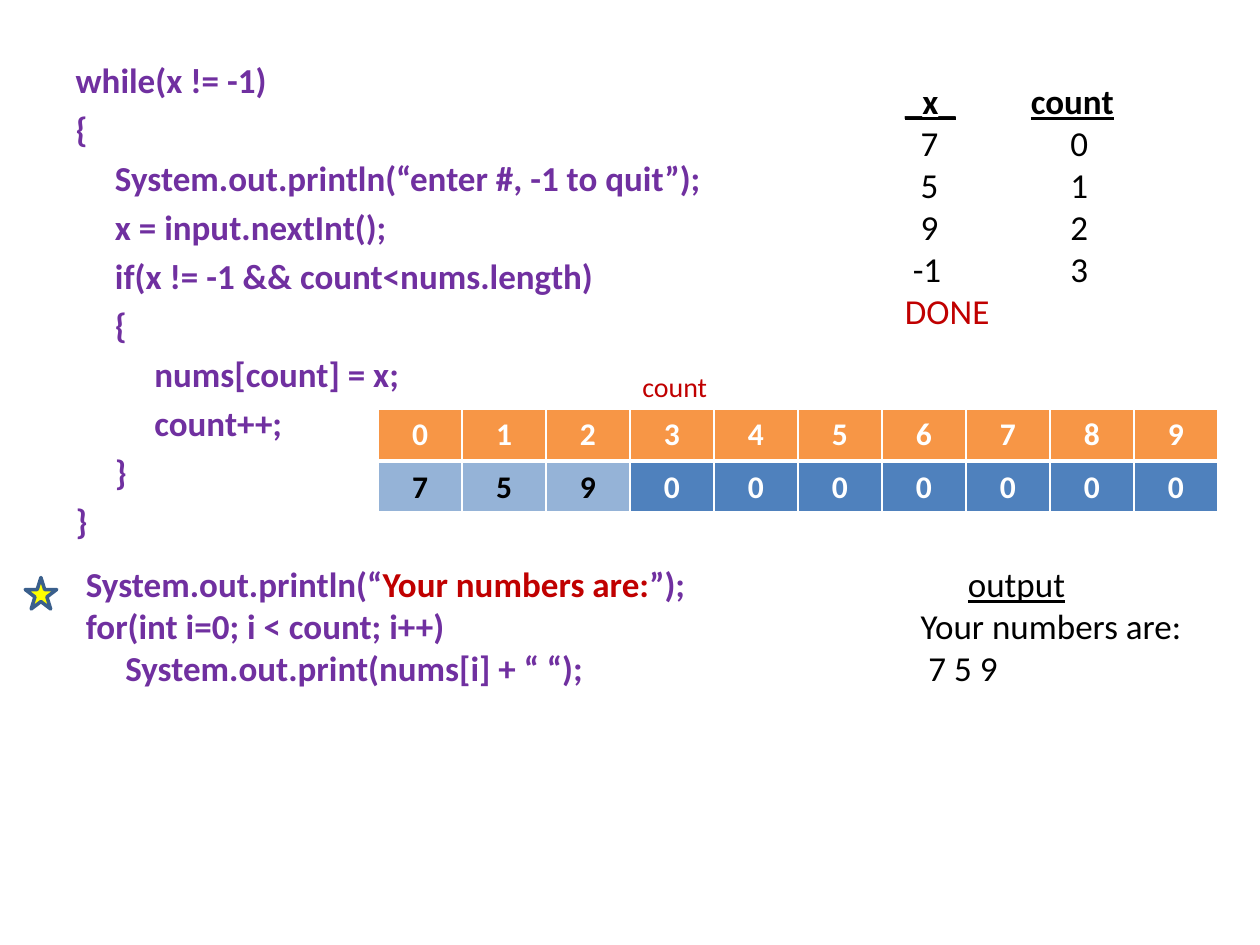
from lxml import etree
from pptx import Presentation
from pptx.dml.color import RGBColor
from pptx.enum.shapes import MSO_SHAPE
from pptx.enum.text import MSO_AUTO_SIZE, PP_ALIGN
from pptx.oxml.ns import qn
from pptx.util import Pt

STAR = MSO_SHAPE.STAR_5_POINT
CENTER = PP_ALIGN.CENTER
NO_FIT, GROW = MSO_AUTO_SIZE.NONE, MSO_AUTO_SIZE.SHAPE_TO_FIT_TEXT
COLORS = {
    "code": "7030A0", "black": "000000", "white": "FFFFFF", "red": "C00000",
    "index": "F79646", "used": "95B3D7", "free": "4F81BD",
    "star": "FFFF00", "star_line": "3A5F8C",
}
FONT = "Calibri"
INDENT = 22.5


def rgb(name):
    """Return a palette colour."""
    return RGBColor.from_string(COLORS[name])


def style(font, size=None, color=None, bold=None, underline=None):
    """Set the given properties of a font."""
    if size:
        font.name, font.size = FONT, Pt(size)
    if color:
        font.color.rgb = rgb(color)
    if bold is not None:
        font.bold = bold
    if underline is not None:
        font.underline = underline


def add_paragraph(tf, first, runs, tabs=(), **base):
    """Write (text, overrides) runs as a paragraph with left tab stops."""
    p = tf.paragraphs[0] if first else tf.add_paragraph()
    if tabs:
        tab_list = etree.SubElement(p._p.get_or_add_pPr(), qn("a:tabLst"))
        for pos in tabs:
            etree.SubElement(tab_list, qn("a:tab"), pos=str(Pt(pos)), algn="l")
    style(p.font, **base)
    for text, changes in runs:
        r = p.add_run()
        r.text = text
        style(r.font, **changes)
    return p


def add_text_box(s, box):
    """Add a wrapping text box and return its text frame."""
    tf = s.shapes.add_textbox(*map(Pt, box)).text_frame
    tf.word_wrap = True
    tf.auto_size = GROW
    return tf


def add_code(s, box):
    """Fill the body placeholder with the input loop, indented by level."""
    body = s.placeholders[1]
    body.left, body.top, body.width, body.height = map(Pt, box)
    tf = body.text_frame
    tf.auto_size = NO_FIT
    lines = [
        (0, "while(x != -1)"),
        (0, "{"),
        (1, "System.out.println(“enter #, -1 to quit”);"),
        (1, "x = input.nextInt();"),
        (1, "if(x != -1 && count<nums.length)"),
        (1, "{"),
        (2, "nums[count] = x;"),
        (2, "count++;"),
        (1, "}"),
        (0, "}"),
    ]
    for i, (level, text) in enumerate(lines):
        p = add_paragraph(tf, i == 0, [(text, {})], size=20, color="code", bold=True)
        pPr = p._p.get_or_add_pPr()
        pPr.set("marL", str(Pt(level * INDENT)))
        pPr.set("indent", "0")
        pPr.insert(0, etree.Element(qn("a:buNone")))
        p.space_before = Pt(4)


def add_trace(s, box):
    """List the values of x and count at each pass."""
    tf = add_text_box(s, box)
    line = {"underline": True}
    heading = [("\t", {}), ("_x_", line), ("\t", {}), ("count", line)]
    add_paragraph(tf, True, heading, (72, 144), size=20, color="black", bold=True)
    for count, x in enumerate((7, 5, 9, -1)):
        tabs = (81 if x >= 0 else 76.5, 166.5)
        add_paragraph(tf, False, [(f"\t{x}\t{count}", {})], tabs, size=20, color="black")
    add_paragraph(tf, False, [("\tDONE", {})], (72,), size=20, color="red")


def set_borders(cell):
    """Draw white cell borders, the bottom one thicker."""
    tcPr = cell._tc.get_or_add_tcPr()
    for i, (side, width) in enumerate((("L", 1), ("R", 1), ("T", 1), ("B", 3))):
        ln = etree.Element(qn(f"a:ln{side}"), w=str(Pt(width)))
        fill = etree.SubElement(ln, qn("a:solidFill"))
        etree.SubElement(fill, qn("a:srgbClr"), val=COLORS["white"])
        tcPr.insert(i, ln)


def add_strip(s, box, cells):
    """Add a one-row table of (value, fill, text colour) cells."""
    table = s.shapes.add_table(1, len(cells), *map(Pt, box)).table
    table.first_row = table.horz_banding = False
    for col, (value, fill, color) in enumerate(cells):
        table.columns[col].width = Pt(box[2] / len(cells))
        cell = table.cell(0, col)
        cell.fill.solid()
        cell.fill.fore_color.rgb = rgb(fill)
        set_borders(cell)
        p = add_paragraph(cell.text_frame, True, [(str(value), {})],
                          size=18, color=color, bold=True)
        p.alignment = CENTER


def add_array(s, box):
    """Draw the array: count marker, values and indexes."""
    left, top, width, height = box
    row = 29.5
    nums = [7, 5, 9]
    values = [(n, "used", "black") for n in nums]
    values += [(0, "free", "white")] * (10 - len(nums))
    add_strip(s, (left, top + height - row, width, row), values)
    add_strip(s, (left, top + 26.5, width, row),
              [(i, "index", "white") for i in range(10)])
    tf = add_text_box(s, (left, top, width, 26.5))
    add_paragraph(tf, True, [("\tcount", {})], (len(nums) * width / 10,),
                  size=16, color="red")


def add_output(s, box):
    """Show the printing code beside its output, marked by a star."""
    left, top = box[:2]
    tf = add_text_box(s, box)
    plain = {"color": "black", "bold": False}
    rows = [
        ((504,), [("System.out.println(“", {}), ("Your numbers are:", {"color": "red"}),
                  ("”);\t", {}), ("output", {**plain, "underline": True})]),
        ((477,), [("for(int i=0; i < count; i++)\t", {}), ("Your numbers are:", plain)]),
        ((INDENT, 481.5), [("\tSystem.out.print(nums[i] + “ “);\t", {}), ("7 5 9", plain)]),
    ]
    for i, (tabs, runs) in enumerate(rows):
        add_paragraph(tf, i == 0, runs, tabs, size=20, color="code", bold=True)
    star = s.shapes.add_shape(STAR, Pt(left - 27.6), Pt(top + 12), Pt(18), Pt(18))
    star.shadow.inherit = False
    star.fill.solid()
    star.fill.fore_color.rgb = rgb("star")
    star.line.color.rgb = rgb("star_line")
    star.line.width = Pt(2)


prs = Presentation()
prs.slide_width, prs.slide_height = Pt(720), Pt(540)
s = prs.slides.add_slide(prs.slide_layouts[1])
title = s.shapes.title._element
title.getparent().remove(title)
add_code(s, (36, 30, 372, 288))
add_trace(s, (438, 42, 252, 152.5))
add_array(s, (216, 207.5, 480, 86))
add_output(s, (42, 318, 648, 101.5))
prs.save("out.pptx")
